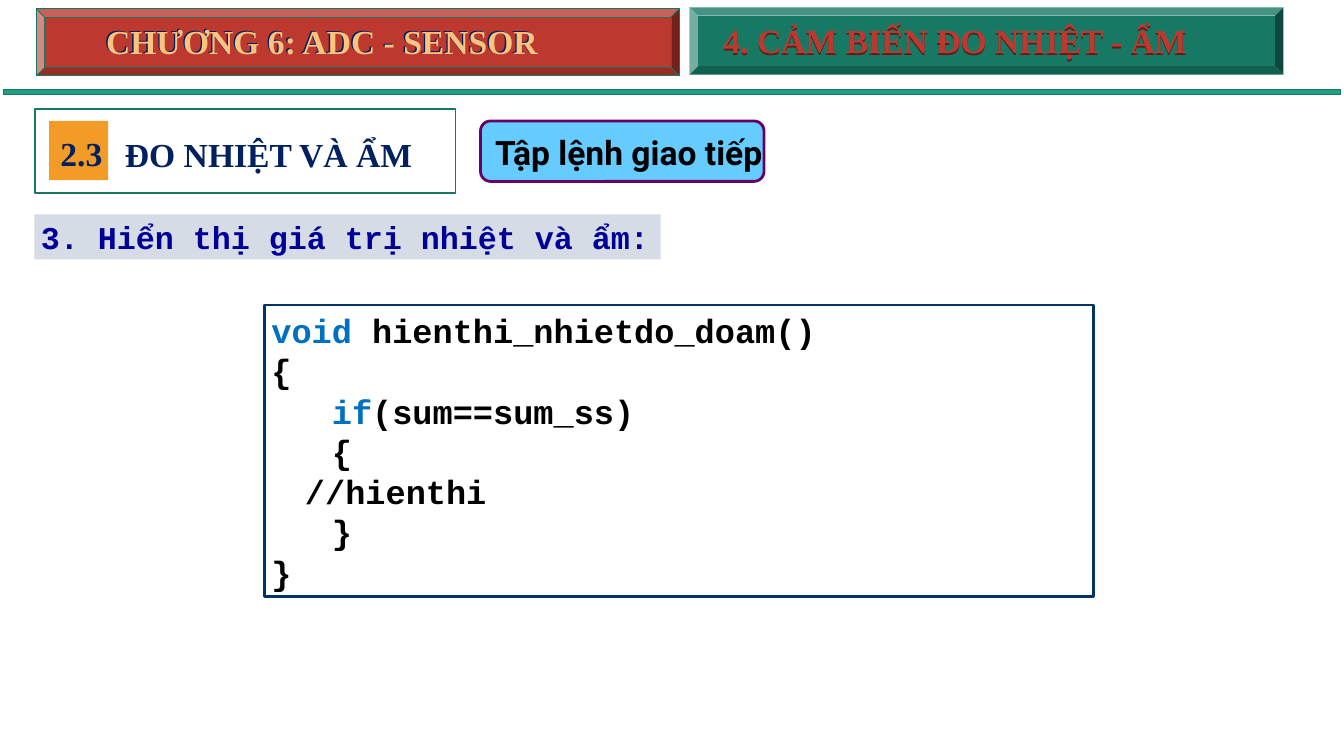
from dataclasses import dataclass

from pptx import Presentation
from pptx.dml.color import RGBColor
from pptx.enum.shapes import MSO_SHAPE
from pptx.enum.text import MSO_ANCHOR, PP_ALIGN
from pptx.util import Inches, Pt


@dataclass(frozen=True)
class Theme:
    """Colours, fonts and type sizes of the slide."""
    navy: str = "002060"
    green: str = "177964"
    edge: str = "167762"
    rule: str = "1EA185"
    red: str = "BD392F"
    maroon: str = "5E1C18"
    sand: str = "F7C37D"
    orange: str = "F29B26"
    sky: str = "66CCFF"
    purple: str = "660066"
    grey: str = "D6DCE5"
    blue: str = "000099"
    frame: str = "003366"
    keyword: str = "0070C0"
    black: str = "000000"
    serif: str = "Times New Roman"
    sans: str = "Roboto"
    mono: str = "Courier New"
    size: int = 36
    step_size: int = 34


THEME = Theme()


def colour(value):
    """Turn a hex string into a colour."""
    return RGBColor.from_string(value)


def place(item, box):
    """Move an item to a box of left, top, width and height in inches."""
    item.left, item.top, item.width, item.height = map(Inches, box)


def add_panel(page, kind, box, fill=None, line=None, weight=1):
    """Draw a preset shape without a shadow."""
    panel = page.shapes.add_shape(kind, *map(Inches, box))
    panel.shadow.inherit = False
    if fill:
        panel.fill.solid()
        panel.fill.fore_color.rgb = colour(fill)
    else:
        panel.fill.background()
    if line:
        panel.line.color.rgb = colour(line)
        panel.line.width = Pt(weight)
    else:
        panel.line.fill.background()
    return panel


def write(holder, text, font=THEME.serif, size=THEME.size, ink=THEME.navy,
          keywords=(), wrap=True, anchor=MSO_ANCHOR.TOP):
    """Write bold lines into a shape, with keywords in their own colour."""
    frame = holder.text_frame
    frame.word_wrap = wrap
    frame.vertical_anchor = anchor
    frame.margin_left = frame.margin_right = Inches(0.1)
    frame.margin_top = frame.margin_bottom = Inches(0.05)
    for index, line in enumerate(text.split("\n")):
        para = frame.add_paragraph() if index else frame.paragraphs[0]
        para.alignment = PP_ALIGN.LEFT
        para.line_spacing = 1.0
        para.space_before = Pt(0)
        word = next((word for word in keywords if word in line), "")
        before, _, after = line.partition(word) if word else (line, "", "")
        for part, shade in ((before, ink), (word, THEME.keyword), (after, ink)):
            if part:
                span = para.add_run()
                span.text = part
                span.font.name = font
                span.font.size = Pt(size)
                span.font.bold = True
                span.font.color.rgb = colour(shade)


def add_label(page, box, text, **style):
    """Add a text box with one label."""
    write(page.shapes.add_textbox(*map(Inches, box)), text, **style)


def add_section(page, box, number, title):
    """Place the framed section title with its number tile."""
    left, top, width, height = box
    add_panel(page, MSO_SHAPE.RECTANGLE, (left + 0.21, top + 0.18, 0.88, 0.88), THEME.orange)
    add_panel(page, MSO_SHAPE.RECTANGLE, box, line=THEME.edge, weight=2)
    place(page.shapes.title, (left + 1.24, top + 0.32, width - 1.21, 0.71))
    write(page.shapes.title, title)
    add_label(page, (left + 0.28, top + 0.31, 1.2, 0.71), number)


def add_banner(page, box, text, fill, line, layers):
    """Place a bevelled banner with layered lettering."""
    add_panel(page, MSO_SHAPE.BEVEL, box, fill, line)
    left, top, width, _ = box
    for across, down, ink in layers:
        add_label(page, (left + across, top + down, width - across, 0.71), text, ink=ink)


def add_topic(page, box, text):
    """Place the rounded topic tag."""
    add_panel(page, MSO_SHAPE.ROUNDED_RECTANGLE, box, THEME.sky, THEME.purple, 3)
    left, top, width, _ = box
    add_label(page, (left + 0.12, top + 0.11, width + 0.17, 0.71), text,
              font=THEME.sans, ink=THEME.black)


def add_step(page, box, text):
    """Place the shaded step heading."""
    panel = add_panel(page, MSO_SHAPE.RECTANGLE, box, THEME.grey)
    write(panel, text, font=THEME.mono, size=THEME.step_size, ink=THEME.blue, wrap=False)


def add_code(page, box, code, keywords):
    """Place the framed code listing."""
    panel = add_panel(page, MSO_SHAPE.RECTANGLE, box, line=THEME.frame, weight=3)
    write(panel, code, font=THEME.mono, ink=THEME.black, keywords=keywords,
          anchor=MSO_ANCHOR.MIDDLE)


CODE = """void hienthi_nhietdo_doam()
{
   if(sum==sum_ss)
   {
\t//hienthi
   }
}"""


def main():
    """Build the slide and save the deck."""
    deck = Presentation()
    deck.slide_width, deck.slide_height = Inches(20), Inches(11.25)
    page = deck.slides.add_slide(deck.slide_layouts[5])
    add_section(page, (0.52, 1.62, 6.26, 1.25), "2.3", "ĐO NHIỆT VÀ ẨM")
    add_panel(page, MSO_SHAPE.MATH_MINUS, (-3.54, 1.2, 27.08, 0.33), THEME.rule, THEME.edge)
    add_banner(page, (0.54, 0.13, 9.57, 1), "CHƯƠNG 6: ADC - SENSOR", THEME.red, THEME.edge,
               ((0.92, 0.11, THEME.navy), (0.94, 0.13, THEME.sand)))
    add_banner(page, (10.26, 0.11, 8.84, 1), "4. CẢM BIẾN ĐO NHIỆT - ẨM", THEME.green, None,
               ((0.41, 0.16, THEME.maroon), (0.41, 0.14, THEME.red)))
    add_topic(page, (7.15, 1.8, 4.22, 0.9), "Tập lệnh giao tiếp")
    add_step(page, (0.51, 3.19, 9.32, 0.67), "3. Hiển thị giá trị nhiệt và ẩm:")
    add_code(page, (3.94, 4.54, 12.33, 4.34), CODE, ("void", "if"))
    deck.save("out.pptx")


if __name__ == "__main__":
    main()
